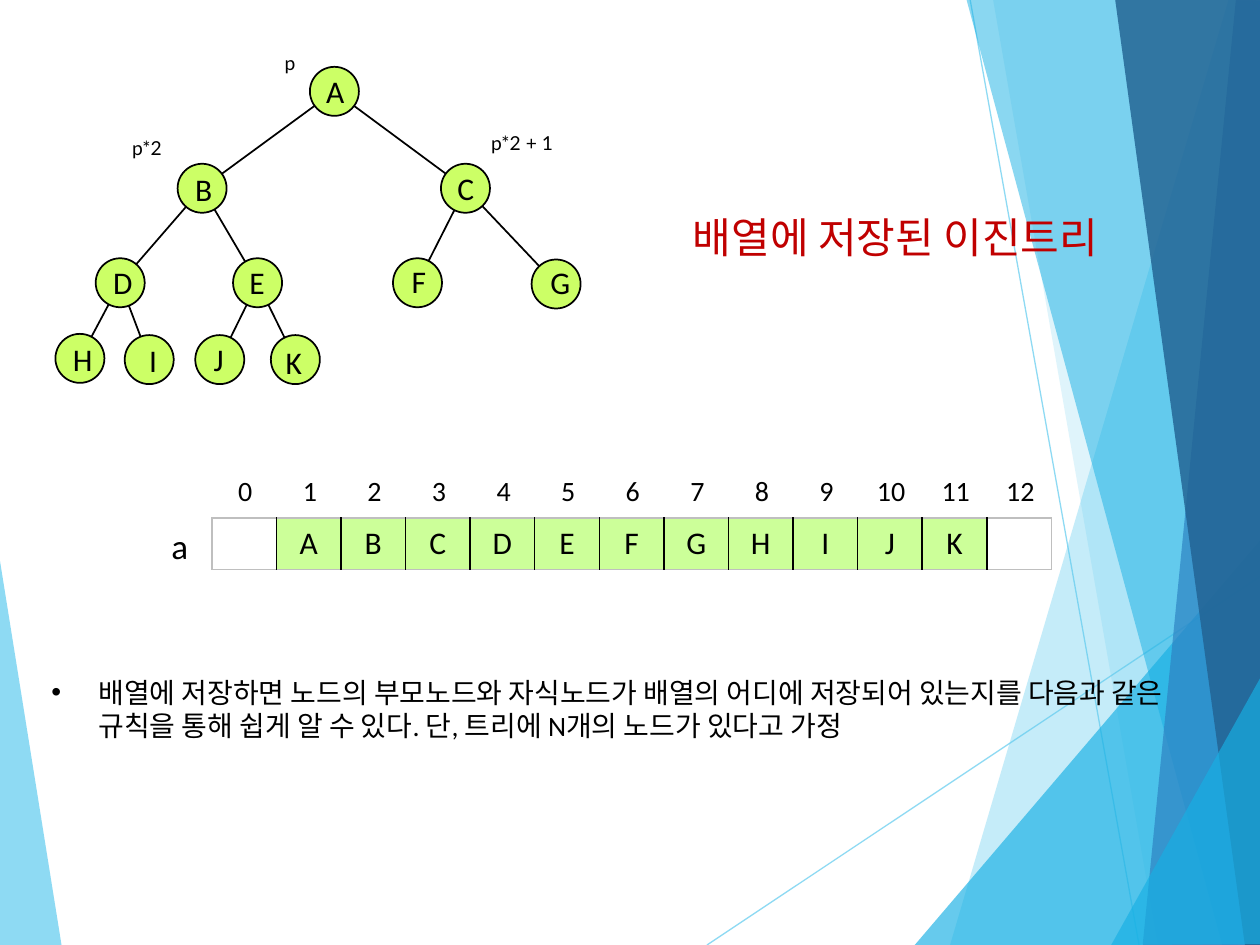
from lxml.etree import SubElement as Sub
from pptx import Presentation
from pptx.dml.color import RGBColor as RGB
from pptx.enum.shapes import MSO_CONNECTOR as Link, MSO_SHAPE as Form
from pptx.enum.text import MSO_ANCHOR as Anchor, PP_ALIGN as Align
from pptx.oxml.ns import qn
from pptx.util import Pt

BLACK = RGB(0, 0, 0)
RED = RGB(0xC0, 0, 0)
GRAY = RGB(0xBF, 0xBF, 0xBF)
LIME = RGB(0xCC, 0xFF, 0x66)
MINT = RGB(0xCC, 0xFF, 0x99)
SKY = RGB(0x5F, 0xCB, 0xEF)
CYAN = RGB(0x17, 0xB0, 0xE4)
BLUE = RGB(0x2E, 0x83, 0xC3)
NAVY = RGB(0x22, 0x62, 0x92)

WIDE, HIGH = 720, 540
LEFT_BAND = (SKY, 70, [(-0.7, 316), (35.3, 540.7), (-0.7, 540)])
RAYS = [((404, 540), (720.7, 329)), ((554.4, 0), (650.9, 540))]
BANDS = [
    (SKY, 36, [(702, 0), (542.9, 540), (721.4, 540.7), (720.7, 0.7)]),
    (SKY, 20, [(567.4, -0.7), (661.7, 540), (720.7, 540), (720.7, -0.7)]),
    (CYAN, 66, [(522.7, 540), (720, 308.9), (720.7, 540)]),
    (CYAN, 50, [(552.2, -0.7), (698.4, 540), (720.7, 539.3), (720.7, -0.7)]),
    (BLUE, 70, [(706.3, -0.7), (653, 540), (720.7, 540), (720, -0.7)]),
    (NAVY, 82, [(637.2, -0.7), (711.4, 540), (721.4, 540), (720, -0.7)]),
    (CYAN, 66, [(635, 540), (721.4, 385.2), (721.4, 539.3)]),
]

NODE = 28
NODES = [
    ("A", 177.1, 38.2, 2.2, -0.7), ("B", 101.5, 93.6, 2.9, 0),
    ("C", 252, 93.6, 2.2, -0.7), ("D", 54.7, 147.6, 2.9, -0.7),
    ("E", 133.2, 147.6, 2.2, -0.7), ("F", 224.6, 147.6, 3.6, -1.4),
    ("G", 303.8, 148.3, 3.6, -1.4), ("H", 31.7, 190.8, 2.9, 0),
    ("I", 71.3, 191.5, 5, 0), ("J", 111.6, 191.5, 2.2, -0.7),
    ("K", 154.8, 191.5, 1.4, 0.7),
]
SLOTS = [""] + [node[0] for node in NODES] + [""]
INDEX = [str(i) for i in range(len(SLOTS))]
TABLE_WIDE, ROW = 480, 29.5
TITLE = "배열에 저장된 이진트리"
RULE = ("배열에 저장하면 노드의 부모노드와 자식노드가 배열의 어디에 저장되어 있는지를 "
        "다음과 같은 규칙을 통해 쉽게 알 수 있다. 단, 트리에 N개의 노드가 있다고 가정")
HINTS = [("p*2", 68.4, 74.2), ("p", 155.5, 25.9), ("p*2 + 1", 273.6, 71.3)]
PLAIN = "{2D5ABB26-0587-4C30-8999-92F81FD0307C}"

deck = Presentation()
deck.slide_width, deck.slide_height = Pt(WIDE), Pt(HIGH)
slide = deck.slides.add_slide(deck.slide_layouts[6])
shapes = slide.shapes


def fade(item, alpha):
    for tint in item._element.spPr.iter(qn("a:srgbClr")):
        Sub(tint, qn("a:alpha"), val=str(alpha * 1000))


def band(color, alpha, spots):
    spots = [(Pt(x), Pt(y)) for x, y in spots]
    pen = shapes.build_freeform(*spots[0], scale=1.0)
    pen.add_line_segments(spots[1:], close=True)
    item = pen.convert_to_shape()
    item.shadow.inherit = False
    item.fill.solid()
    item.fill.fore_color.rgb = color
    item.line.fill.background()
    fade(item, alpha)


def line(start, end, color=BLACK, width=1):
    ends = [Pt(v) for v in (*start, *end)]
    item = shapes.add_connector(Link.STRAIGHT, *ends)
    item.line.color.rgb = color
    item.line.width = Pt(width)
    Sub(item._element.spPr, qn("a:effectLst"))
    return item


def write(frame, words, size, font="Calibri", color=BLACK, align=Align.CENTER):
    para = frame.paragraphs[0]
    para.alignment = align
    run = para.add_run()
    run.text = words
    run.font.size = Pt(size)
    run.font.name = font
    run.font.color.rgb = color
    return para


def label(words, x, y, w, h, size, wrap=True, anchor=Anchor.TOP, **style):
    frame = shapes.add_textbox(Pt(x), Pt(y), Pt(w), Pt(h)).text_frame
    frame.word_wrap = wrap
    frame.vertical_anchor = anchor
    return write(frame, words, size, **style)


def edge(cell, side, color):
    rim = Sub(cell._tc.get_or_add_tcPr(), qn("a:" + side), w=str(Pt(1)))
    fill = Sub(rim, qn("a:solidFill"))
    Sub(fill, qn("a:srgbClr"), val=str(color))


def row(words, x, y, size, boxed=False):
    count = len(words)
    frame = shapes.add_table(1, count, Pt(x), Pt(y), Pt(TABLE_WIDE), Pt(ROW))
    table = frame.table
    table.first_row = table.horz_banding = False
    table._tbl.tblPr.find(qn("a:tableStyleId")).text = PLAIN
    table.rows[0].height = Pt(ROW)
    for i, word in enumerate(words):
        table.columns[i].width = Pt(TABLE_WIDE / count)
        cell = table.cell(0, i)
        cell.vertical_anchor = Anchor.MIDDLE
        if boxed:
            edge(cell, "lnL", BLACK if i else GRAY)
            edge(cell, "lnR", BLACK if i < count - 1 else GRAY)
            edge(cell, "lnT", GRAY)
            edge(cell, "lnB", GRAY)
        if word:
            write(cell.text_frame, word, size)
        if word and boxed:
            cell.fill.solid()
            cell.fill.fore_color.rgb = MINT
        else:
            cell.fill.background()


band(*LEFT_BAND)
for start, end in RAYS:
    fade(line(start, end, SKY, 0.75), 70)
for part in BANDS:
    band(*part)

mids = [(x + NODE / 2, y + NODE / 2) for _, x, y, _, _ in NODES]
for i in range(1, len(mids)):
    line(mids[(i - 1) // 2], mids[i])
for _, x, y, _, _ in NODES:
    ball = shapes.add_shape(Form.OVAL, Pt(x), Pt(y), Pt(NODE), Pt(NODE))
    ball.shadow.inherit = False
    ball.fill.solid()
    ball.fill.fore_color.rgb = LIME
    ball.line.color.rgb = BLACK
    ball.line.width = Pt(1)
for name, x, y, dx, dy in NODES:
    label(name, x + dx, y + dy, 22.3, 28.8, 18, anchor=Anchor.MIDDLE)

label("a", 82.6, 296, 40.3, 31.7, 20)
label(TITLE, 388.8, 117.4, 280.8, 36, 24, wrap=False, color=RED, align=Align.LEFT)
row(SLOTS, 121, 296, 18, boxed=True)
row(INDEX, 121.7, 266.4, 16)

props = label(RULE, 22.3, 382.3, 676, 46, 16, align=Align.LEFT)._p.get_or_add_pPr()
props.set("marL", str(Pt(27)))
props.set("indent", str(Pt(-27)))
Sub(props, qn("a:buFont"), typeface="Arial")
Sub(props, qn("a:buChar"), char="•")

for words, x, y in HINTS:
    label(words, x, y, 58.3, 20.9, 11, font="Lato", align=Align.LEFT)

deck.save("out.pptx")
